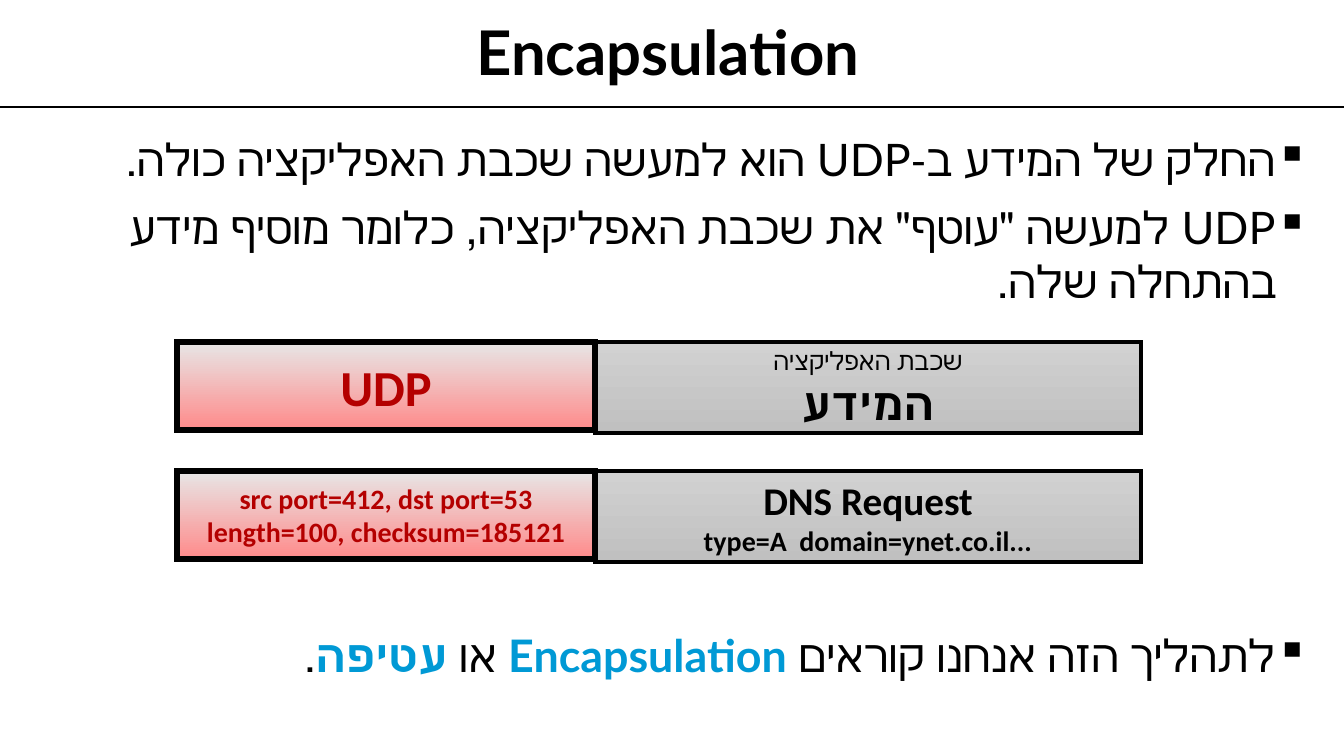
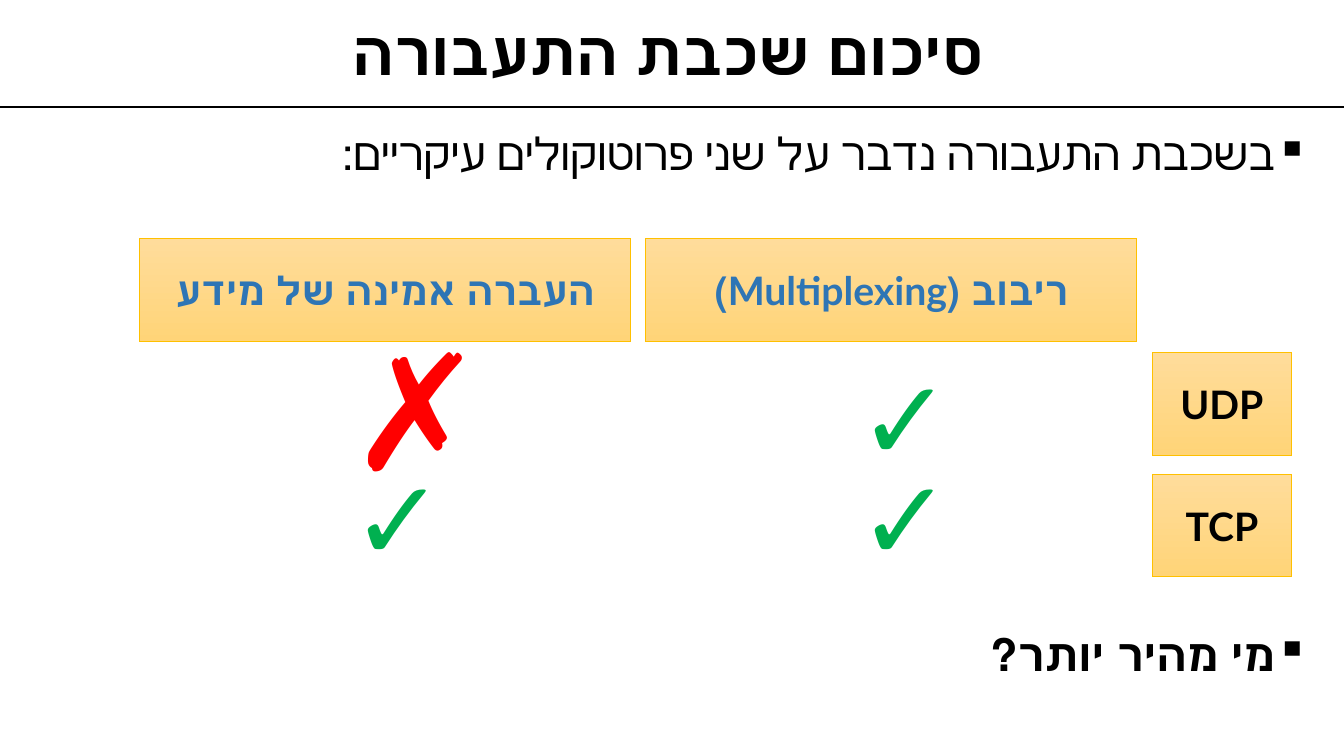
from lxml.etree import SubElement
from pptx import Presentation
from pptx.dml.color import RGBColor
from pptx.enum.shapes import MSO_CONNECTOR, MSO_SHAPE
from pptx.enum.text import MSO_ANCHOR, PP_ALIGN
from pptx.oxml.ns import qn
from pptx.util import Cm, Pt

RECTANGLE = MSO_SHAPE.RECTANGLE
STRAIGHT = MSO_CONNECTOR.STRAIGHT
MIDDLE = MSO_ANCHOR.MIDDLE
TOP = MSO_ANCHOR.TOP
CENTER = PP_ALIGN.CENTER
RIGHT = PP_ALIGN.RIGHT

HEADING_FONT = "Lato"
DIAGRAM_FONT = "Calibri"
BLACK = "000000"
ACCENT = "0099D5"
HEADER_BLUE = "2E75B5"
UDP_RED = "B40000"
CHECK_GREEN = "00B050"
CROSS_RED = "FF0000"
GOLD = "FFC000"
GRAY_GRADIENT = ("D1D1D1", "C0C0C0")
RED_GRADIENT = ("E7E6E6", "FF8B8B")
GOLD_GRADIENT = ("FFDC9B", "FFD478")

SLIDE_WIDTH = 33.87
SLIDE_HEIGHT = 19.05
BULLET_INDENT = 0.81


def color(hex_string):
    return RGBColor.from_string(hex_string)


def format_run(run, size, font_name, hex_string=BLACK, bold=False):
    run.font.size = Pt(size)
    run.font.name = font_name
    run.font.bold = bold
    run.font.color.rgb = color(hex_string)


def set_right_to_left(paragraph):
    paragraph._p.get_or_add_pPr().set("rtl", "1")


def add_bullet(paragraph):
    properties = paragraph._p.get_or_add_pPr()
    properties.set("marL", str(Cm(BULLET_INDENT)))
    properties.set("marR", "0")
    properties.set("indent", str(-Cm(BULLET_INDENT)))
    bullet_color = SubElement(properties, qn("a:buClr"))
    SubElement(bullet_color, qn("a:srgbClr"), val=BLACK)
    SubElement(properties, qn("a:buChar"), char="▪")


def add_text_box(slide, left, top, width, height, anchor=MIDDLE):
    shape = slide.shapes.add_textbox(Cm(left), Cm(top), Cm(width), Cm(height))
    shape.text_frame.word_wrap = True
    shape.text_frame.vertical_anchor = anchor
    return shape.text_frame


def add_titled_slide(presentation, title):
    slide = presentation.slides.add_slide(presentation.slide_layouts[6])
    rule = slide.shapes.add_connector(
        STRAIGHT, Cm(0), Cm(2.7), Cm(SLIDE_WIDTH), Cm(2.7))
    rule.line.color.rgb = color(BLACK)
    rule.line.width = Pt(1)
    SubElement(rule._element.spPr, qn("a:effectLst"))
    text_frame = add_text_box(slide, 0, 0.1, 33.68, 2.6)
    text_frame.text = title
    paragraph = text_frame.paragraphs[0]
    paragraph.alignment = CENTER
    paragraph.line_spacing = 0.9
    set_right_to_left(paragraph)
    format_run(paragraph.runs[0], 44, HEADING_FONT, bold=True)
    return slide


def add_bullets(slide, bullets, line_spacing=1.0):
    text_frame = add_text_box(slide, 0.28, 3.2, 32.96, 15.47, TOP)
    for index, (space_before, runs) in enumerate(bullets):
        paragraph = text_frame.add_paragraph() if index else text_frame.paragraphs[0]
        paragraph.alignment = RIGHT
        paragraph.line_spacing = line_spacing
        paragraph.space_before = Pt(space_before)
        set_right_to_left(paragraph)
        add_bullet(paragraph)
        for text, hex_string, bold in runs:
            run = paragraph.add_run()
            run.text = text
            format_run(run, 32, HEADING_FONT, hex_string, bold)


def add_box(slide, left, top, width, height, gradient, line_color, line_width):
    shape = slide.shapes.add_shape(
        RECTANGLE, Cm(left), Cm(top), Cm(width), Cm(height))
    shape.shadow.inherit = False
    shape.fill.gradient()
    shape.fill.gradient_angle = 270
    for stop, hex_string in zip(shape.fill.gradient_stops, gradient):
        stop.color.rgb = color(hex_string)
    shape.line.color.rgb = color(line_color)
    shape.line.width = Pt(line_width)
    SubElement(shape.line._get_or_add_ln(), qn("a:miter"), lim="800000")
    shape.text_frame.word_wrap = True
    shape.text_frame.vertical_anchor = MIDDLE
    return shape.text_frame


def add_packet(slide, top, header, header_size, data_lines):
    text_frame = add_box(
        slide, 14.99, top, 13.77, 2.29, GRAY_GRADIENT, BLACK, 3)
    text_frame.text = "\n".join(text for text, size, bold in data_lines)
    for paragraph, (text, size, bold) in zip(text_frame.paragraphs, data_lines):
        paragraph.alignment = CENTER
        format_run(paragraph.runs[0], size, DIAGRAM_FONT, bold=bold)
    text_frame = add_box(
        slide, 4.47, top, 10.52, 2.21, RED_GRADIENT, BLACK, 4.5)
    text_frame.text = header
    paragraph = text_frame.paragraphs[0]
    paragraph.alignment = CENTER
    format_run(paragraph.runs[0], header_size, DIAGRAM_FONT, UDP_RED, True)


def add_label(slide, left, top, width, text, hex_string):
    text_frame = add_box(
        slide, left, top, width, 2.59, GOLD_GRADIENT, GOLD, 0.75)
    text_frame.text = text
    paragraph = text_frame.paragraphs[0]
    paragraph.alignment = CENTER
    set_right_to_left(paragraph)
    format_run(paragraph.runs[0], 28, HEADING_FONT, hex_string, True)


def add_mark(slide, left, top, symbol, size, hex_string):
    text_frame = add_text_box(slide, left, top, 2.16, 1.78)
    text_frame.text = symbol
    paragraph = text_frame.paragraphs[0]
    paragraph.alignment = CENTER
    format_run(paragraph.runs[0], size, DIAGRAM_FONT, hex_string)


def build_encapsulation(presentation):
    slide = add_titled_slide(presentation, "Encapsulation")
    add_bullets(slide, [
        (0, [("החלק של המידע ב-UDP הוא למעשה שכבת האפליקציה כולה.",
              BLACK, False)]),
        (10, [("UDP למעשה \"עוטף\" את שכבת האפליקציה, כלומר מוסיף מידע "
               "בהתחלה שלה.", BLACK, False)]),
        (229, [
            ("לתהליך הזה אנחנו קוראים ", BLACK, False),
            ("Encapsulation", ACCENT, True),
            (" או ", BLACK, False),
            ("עטיפה", ACCENT, True),
            (".", BLACK, False),
        ]),
    ])
    add_packet(slide, 8.62, "UDP", 36, [
        ("שכבת האפליקציה", 18, False), ("המידע", 32, True)])
    add_packet(slide, 11.87,
               "src port=412, dst port=53 length=100, checksum=185121", 20, [
                   ("DNS Request", 28, True),
                   ("type=A  domain=ynet.co.il...", 20, True)])


def build_summary(presentation):
    slide = add_titled_slide(presentation, "סיכום שכבת התעבורה")
    add_bullets(slide, [
        (0, [("בשכבת התעבורה נדבר על שני פרוטוקולים עיקריים:", BLACK, False)]),
        (323, [("מי מהיר יותר?", BLACK, True)]),
    ], 0.9)
    headers = ("העברה אמינה של מידע", "ריבוב (Multiplexing)")
    for column, header in enumerate(headers):
        add_label(slide, 3.52 + column * 12.76, 6.01, 12.37, header, HEADER_BLUE)
    for row, protocol in enumerate(("UDP", "TCP")):
        add_label(slide, 29.04, 8.88 + row * 3.07, 3.51, protocol, BLACK)
    for left, top in ((21.39, 9.58), (21.39, 12.1), (8.62, 12.1)):
        add_mark(slide, left, top, "✓", 80, CHECK_GREEN)
    add_mark(slide, 8.56, 9.35, "✗", 115, CROSS_RED)


def main():
    presentation = Presentation()
    presentation.slide_width = Cm(SLIDE_WIDTH)
    presentation.slide_height = Cm(SLIDE_HEIGHT)
    build_encapsulation(presentation)
    build_summary(presentation)
    presentation.save("out.pptx")


if __name__ == "__main__":
    main()
